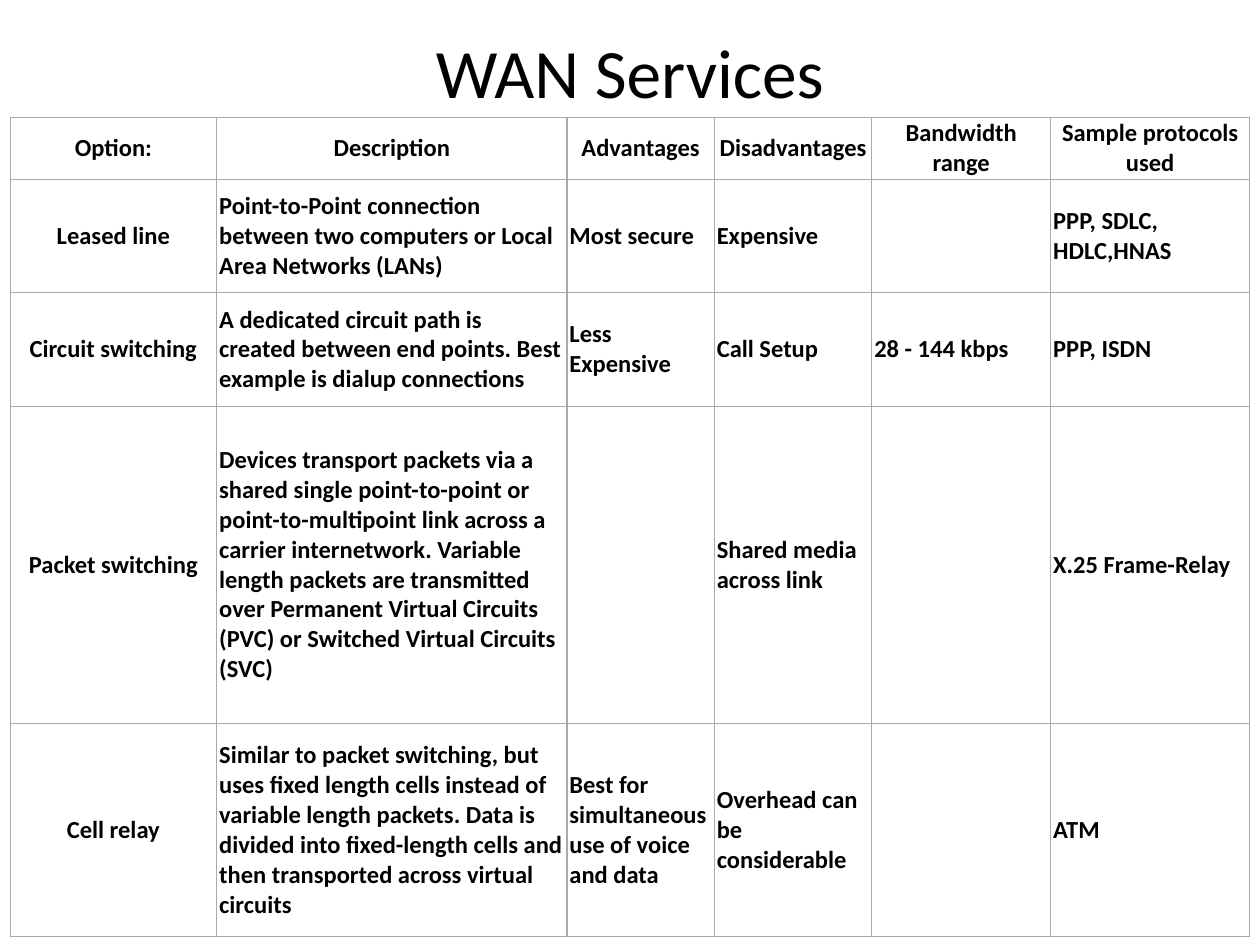
from lxml import etree
from pptx import Presentation
from pptx.dml.color import RGBColor
from pptx.enum import text
from pptx.oxml import ns
from pptx.util import Inches, Pt

BLACK = RGBColor(0, 0, 0)
GREY = RGBColor(0xAA, 0xAA, 0xAA)
COLS = [1.64, 2.78, 1.17, 1.25, 1.42, 1.58]
HIGHS = [0.47, 0.9, 0.9, 2.52, 1.69]
ROWS = [
    ["Option:", "Description", "Advantages", "Disadvantages",
     "Bandwidth range", "Sample protocols used"],
    ["Leased line",
     "Point-to-Point connection between two computers or Local Area "
     "Networks (LANs)",
     "Most secure", "Expensive", "", "PPP, SDLC, HDLC,HNAS"],
    ["Circuit switching",
     "A dedicated circuit path is created between end points. "
     "Best example is dialup connections",
     "Less Expensive", "Call Setup", "28 - 144 kbps", "PPP, ISDN"],
    ["Packet switching",
     "Devices transport packets via a shared single point-to-point or "
     "point-to-multipoint link across a carrier internetwork. Variable "
     "length packets are transmitted over Permanent Virtual Circuits (PVC) "
     "or Switched Virtual Circuits (SVC)",
     "", "Shared media across link", "", "X.25 Frame-Relay"],
    ["Cell relay",
     "Similar to packet switching, but uses fixed length cells instead of "
     "variable length packets. Data is divided into fixed-length cells and "
     "then transported across virtual circuits",
     "Best for simultaneous use of voice and data",
     "Overhead can be considerable", "", "ATM"],
]
CELL = {
    "margin_left": Inches(0.02), "margin_right": Inches(0.02),
    "margin_top": Inches(0.01), "margin_bottom": Inches(0.01),
    "vertical_anchor": text.MSO_ANCHOR.MIDDLE,
}


def style(par, size, bold, align):
    par.alignment = align
    for key, val in {"name": "Calibri", "size": Pt(size), "bold": bold}.items():
        setattr(par.font, key, val)
    par.font.color.rgb = BLACK


def border(cell):
    props = cell._tc.get_or_add_tcPr()
    for spot, side in enumerate(("lnL", "lnR", "lnT", "lnB")):
        line = etree.Element(ns.qn(f"a:{side}"), w=str(Pt(0.75)))
        fill = etree.SubElement(line, ns.qn("a:solidFill"))
        etree.SubElement(fill, ns.qn("a:srgbClr"), val=str(GREY))
        props.insert(spot, line)


deck = Presentation()
deck.slide_width, deck.slide_height = Inches(10), Inches(7.5)
slide = deck.slides.add_slide(deck.slide_layouts[5])

title = slide.shapes.title
title.left, title.top = Inches(0.5), Inches(0.3)
title.width, title.height = Inches(9), Inches(0.53)
frame = title.text_frame
frame.text = "WAN Services"
frame.auto_size = text.MSO_AUTO_SIZE.NONE
frame.vertical_anchor = text.MSO_ANCHOR.MIDDLE
style(frame.paragraphs[0], 39.6, False, text.PP_ALIGN.CENTER)

table = slide.shapes.add_table(
    len(ROWS), len(COLS), Inches(0.08), Inches(0.93),
    Inches(sum(COLS)), Inches(sum(HIGHS))).table
table.horz_banding = False
for col, width in zip(table.columns, COLS):
    col.width = Inches(width)
for row, high in zip(table.rows, HIGHS):
    row.height = Inches(high)

for r, row in enumerate(ROWS):
    for c, words in enumerate(row):
        cell = table.cell(r, c)
        cell.text = words
        for key, val in CELL.items():
            setattr(cell, key, val)
        cell.fill.background()
        border(cell)
        mid = r == 0 or c == 0
        align = text.PP_ALIGN.CENTER if mid else text.PP_ALIGN.LEFT
        style(cell.text_frame.paragraphs[0], 14, True, align)

deck.save("out.pptx")
